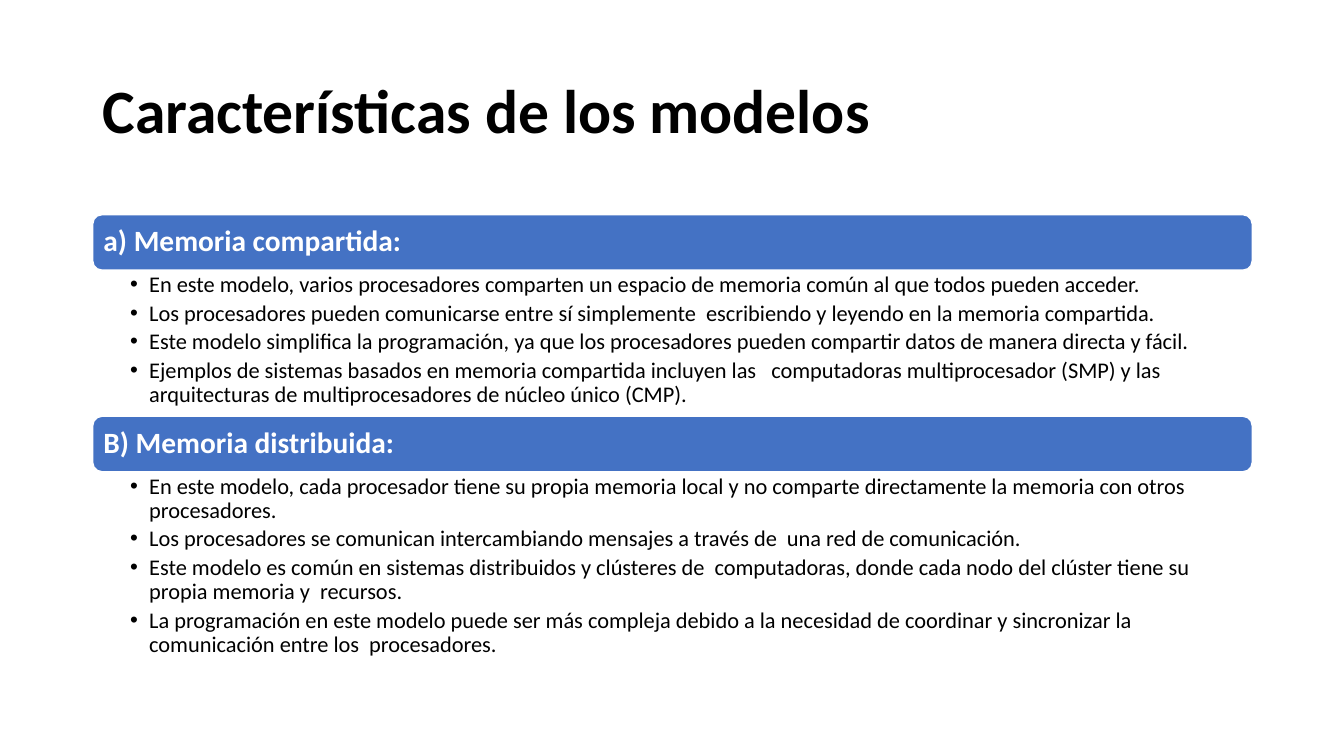
from lxml import etree
from pptx import Presentation
from pptx.dml.color import RGBColor
from pptx.enum.shapes import MSO_SHAPE as SHAPE
from pptx.enum.text import MSO_ANCHOR as ANCHOR, PP_ALIGN as ALIGN
from pptx.oxml.ns import qn
from pptx.util import Inches, Pt

# Content
TITLE = "Características de los modelos"
MODELS = [
    ("a) Memoria compartida:", 1.45, [
        "En este modelo, varios procesadores comparten un espacio de memoria común al que todos pueden acceder.",
        "Los procesadores pueden comunicarse entre sí simplemente  escribiendo y leyendo en la memoria compartida.",
        "Este modelo simplifica la programación, ya que los procesadores pueden compartir datos de manera directa y fácil.",
        "Ejemplos de sistemas basados en memoria compartida incluyen las   computadoras multiprocesador (SMP) y las "
        "arquitecturas de multiprocesadores de núcleo único (CMP).",
    ]),
    ("B) Memoria distribuida:", 1.95, [
        "En este modelo, cada procesador tiene su propia memoria local y no comparte directamente la memoria con otros "
        "procesadores.",
        "Los procesadores se comunican intercambiando mensajes a través de  una red de comunicación.",
        "Este modelo es común en sistemas distribuidos y clústeres de  computadoras, donde cada nodo del clúster tiene su "
        "propia memoria y  recursos.",
        "La programación en este modelo puede ser más compleja debido a la necesidad de coordinar y sincronizar la "
        "comunicación entre los  procesadores.",
    ]),
]

# Layout and colours
LEFT, WIDTH = 0.92, 11.5
FIRST_TOP, BAR_HEIGHT = 2.13, 0.55
BLUE, WHITE, BLACK = "4472C4", "FFFFFF", "000000"


def rgb(color):
    return RGBColor.from_string(color)


def add_bullet(p, indent=0.19):
    pPr = p._p.get_or_add_pPr()
    pPr.set("marL", str(Inches(indent)))
    pPr.set("indent", str(-Inches(indent)))
    etree.SubElement(pPr, qn("a:buFont")).set("typeface", "Arial")
    etree.SubElement(pPr, qn("a:buChar")).set("char", "•")


def write(sp, lines, size, color=BLACK, bold=False, anchor=ANCHOR.MIDDLE,
          insets=(0.1, 0.05, 0.1, 0.05), after=0, bullet=False):
    tf = sp.text_frame
    tf.word_wrap = True
    tf.vertical_anchor = anchor
    tf.margin_left, tf.margin_top, tf.margin_right, tf.margin_bottom = map(Inches, insets)
    for i, line in enumerate(lines):
        p = tf.add_paragraph() if i else tf.paragraphs[0]
        p.alignment = ALIGN.LEFT
        p.line_spacing = 0.9
        p.space_after = Pt(after)
        if bullet:
            add_bullet(p)
        r = p.add_run()
        r.text = line
        r.font.name = "Calibri"
        r.font.size = Pt(size)
        r.font.bold = bold
        r.font.color.rgb = rgb(color)


def box(top, height):
    return [Inches(v) for v in (LEFT, top, WIDTH, height)]


prs = Presentation()
prs.slide_width, prs.slide_height = Inches(13.33), Inches(7.5)
s = prs.slides.add_slide(prs.slide_layouts[6])

# Title
write(s.shapes.add_textbox(*box(0.4, 1.45)), [TITLE], 44, bold=True)

# One heading bar and bullet list per model, stacked
top = FIRST_TOP
for heading, list_height, points in MODELS:
    bar = s.shapes.add_shape(SHAPE.ROUNDED_RECTANGLE, *box(top, BAR_HEIGHT))
    bar.shadow.inherit = False
    bar.fill.solid()
    bar.fill.fore_color.rgb = rgb(BLUE)
    bar.line.color.rgb = rgb(WHITE)
    bar.line.width = Pt(1)
    write(bar, [heading], 21, color=WHITE, bold=True, insets=(0.08, 0.09, 0.08, 0.09))
    top += BAR_HEIGHT

    write(s.shapes.add_textbox(*box(top, list_height)), points, 16, anchor=ANCHOR.TOP,
          insets=(0.37, 0.03, 0.16, 0.03), after=3.2, bullet=True)
    top += list_height

prs.save("out.pptx")
